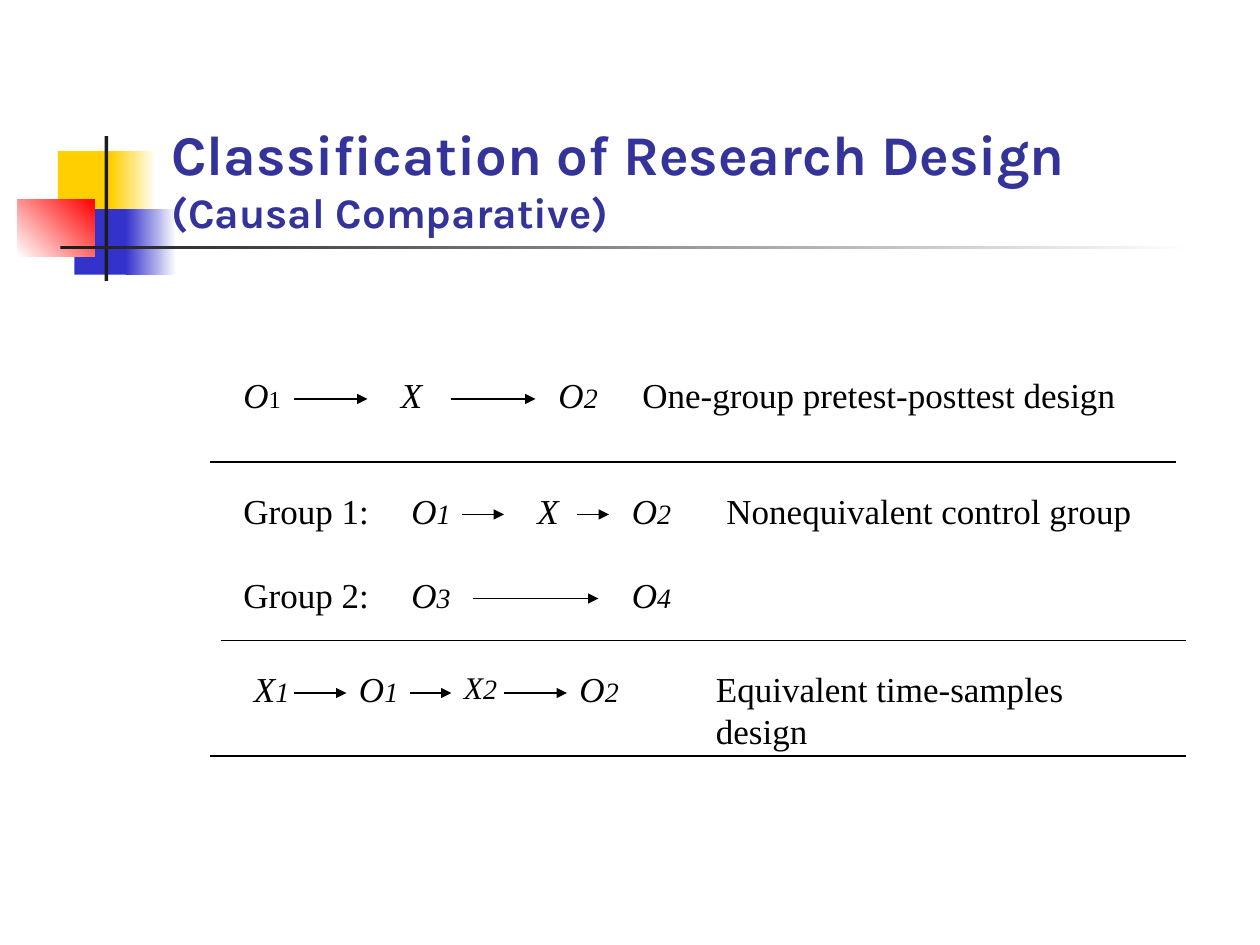
from lxml.etree import SubElement
from pptx import Presentation
from pptx.dml.color import RGBColor
from pptx.enum.shapes import MSO_CONNECTOR, MSO_SHAPE
from pptx.enum.text import MSO_ANCHOR, MSO_AUTO_SIZE, PP_ALIGN
from pptx.oxml.ns import qn
from pptx.util import Inches, Pt

COLORS = {
    "yellow": "FFCF01", "blue": "3333CC", "red": "FF0000", "white": "FFFFFF",
    "dark": "1C1C1C", "ink": "000000", "title": "333399",
}


def rgb(name):
    return RGBColor.from_string(COLORS[name])


class DesignSlide:
    """Styled slide whose diagram sits on a grid of twelve cells to the inch."""

    CELL = Inches(1) // 12
    BODY_FONT, TITLE_FONT = "Times New Roman", "Karla"
    BODY, SUB = 20, 16

    def __init__(self, prs):
        self.s = prs.slides.add_slide(prs.slide_layouts[5])

    def add_run(self, p, text, size, font, color, bold=False, italic=False):
        r = p.add_run()
        r.text = text
        r.font.size, r.font.name = Pt(size), font
        r.font.bold, r.font.italic = bold, italic
        r.font.color.rgb = rgb(color)

    def block(self, left, top, width, height, start, end=None, angle=0):
        sp = self.s.shapes.add_shape(
            MSO_SHAPE.RECTANGLE, *map(Inches, (left, top, width, height)))
        sp.shadow.inherit = False
        sp.line.fill.background()
        if end is None:
            sp.fill.solid()
            sp.fill.fore_color.rgb = rgb(start)
            return
        sp.fill.gradient()
        sp.fill.gradient_angle = angle
        for stop, color in zip(sp.fill.gradient_stops, (start, end)):
            stop.color.rgb = rgb(color)

    def title(self, left, top, width, height, *runs):
        sp = self.s.shapes.title
        sp.left, sp.top, sp.width, sp.height = map(
            Inches, (left, top, width, height))
        self.s.shapes._spTree.append(sp._element)
        tf = sp.text_frame
        tf.word_wrap, tf.auto_size = True, MSO_AUTO_SIZE.NONE
        tf.vertical_anchor = MSO_ANCHOR.BOTTOM
        p = tf.paragraphs[0]
        p.alignment = PP_ALIGN.LEFT
        for text, size in runs:
            self.add_run(p, text, size, self.TITLE_FONT, "title", bold=True)

    def text_box(self, col, row, cols):
        sp = self.s.shapes.add_textbox(
            col * self.CELL, row * self.CELL, cols * self.CELL, Inches(0.43))
        tf = sp.text_frame
        tf.word_wrap = True
        return tf.paragraphs[0]

    def label(self, col, row, cols, text):
        p = self.text_box(col, row, cols)
        self.add_run(p, text, self.BODY, self.BODY_FONT, "ink")

    def symbol(self, col, row, cols, letter, index="", size=BODY,
               sub=SUB, sub_italic=True):
        p = self.text_box(col, row, cols)
        self.add_run(p, letter, size, self.BODY_FONT, "ink", italic=True)
        if index:
            self.add_run(p, index, sub, self.BODY_FONT, "ink",
                         italic=sub_italic)

    def line(self, start, end, row, arrow=False):
        c = self.s.shapes.add_connector(
            MSO_CONNECTOR.STRAIGHT, start * self.CELL, row * self.CELL,
            end * self.CELL, row * self.CELL)
        c.line.width = Pt(0.75)
        c.line.color.rgb = rgb("ink")
        if arrow:
            SubElement(c.line._get_or_add_ln(), qn("a:tailEnd"),
                       type="triangle")
        SubElement(c._element.spPr, qn("a:effectLst"))

    def arrows(self, row, *spans):
        for start, end in spans:
            self.line(start, end, row + 3, arrow=True)


def main():
    prs = Presentation()
    prs.slide_width, prs.slide_height = Inches(10), Inches(7.5)
    d = DesignSlide(prs)

    d.block(0.46, 1.2, 0.48, 0.52, "yellow")
    d.block(0.88, 1.2, 0.36, 0.52, "yellow", "white")
    d.block(0.59, 1.66, 0.46, 0.52, "blue")
    d.block(1, 1.66, 0.4, 0.52, "blue", "white")
    d.block(0.14, 1.58, 0.61, 0.46, "white", "red", angle=45)
    d.block(0.83, 1.08, 0.03, 1.15, "dark")
    d.block(0.48, 1.95, 9, 0.03, "dark", "white")

    pretest, group1, group2, samples = 35, 46, 54, 63

    d.symbol(22, pretest, 7, "O", "1", sub=14, sub_italic=False)
    d.symbol(37, pretest, 6, "X")
    d.symbol(52, pretest, 9, "O", "2")
    d.label(60, pretest, 49, "One-group pretest-posttest design")
    d.arrows(pretest, (28, 35), (43, 51))

    d.label(22, group1, 17, "Group 1:")
    d.symbol(38, group1, 8, "O", "1")
    d.symbol(50, group1, 6, "X")
    d.symbol(59, group1, 7, "O", "2")
    d.label(68, group1, 44, "Nonequivalent control group")
    d.arrows(group1, (44, 48), (55, 58))

    d.label(22, group2, 16, "Group 2:")
    d.symbol(38, group2, 7, "O", "3")
    d.symbol(59, group2, 8, "O", "4")
    d.arrows(group2, (45, 57))

    d.symbol(23, samples, 6, "X", "1")
    d.symbol(33, samples, 9, "O", "1")
    d.symbol(43, samples, 10, "X", "2", size=18)
    d.symbol(54, samples, 8, "O", "2")
    d.label(67, samples, 45, "Equivalent time-samples design")
    d.arrows(samples, (28, 33), (39, 43), (48, 54))

    for start, end, row in ((20, 112, 44), (21, 113, 61), (20, 113, 72)):
        d.line(start, end, row)

    d.title(1.26, 0.92, 8.52, 1.01,
            ("Classification of Research Design ", 32),
            ("(Causal Comparative)", 24))
    prs.save("out.pptx")


if __name__ == "__main__":
    main()
